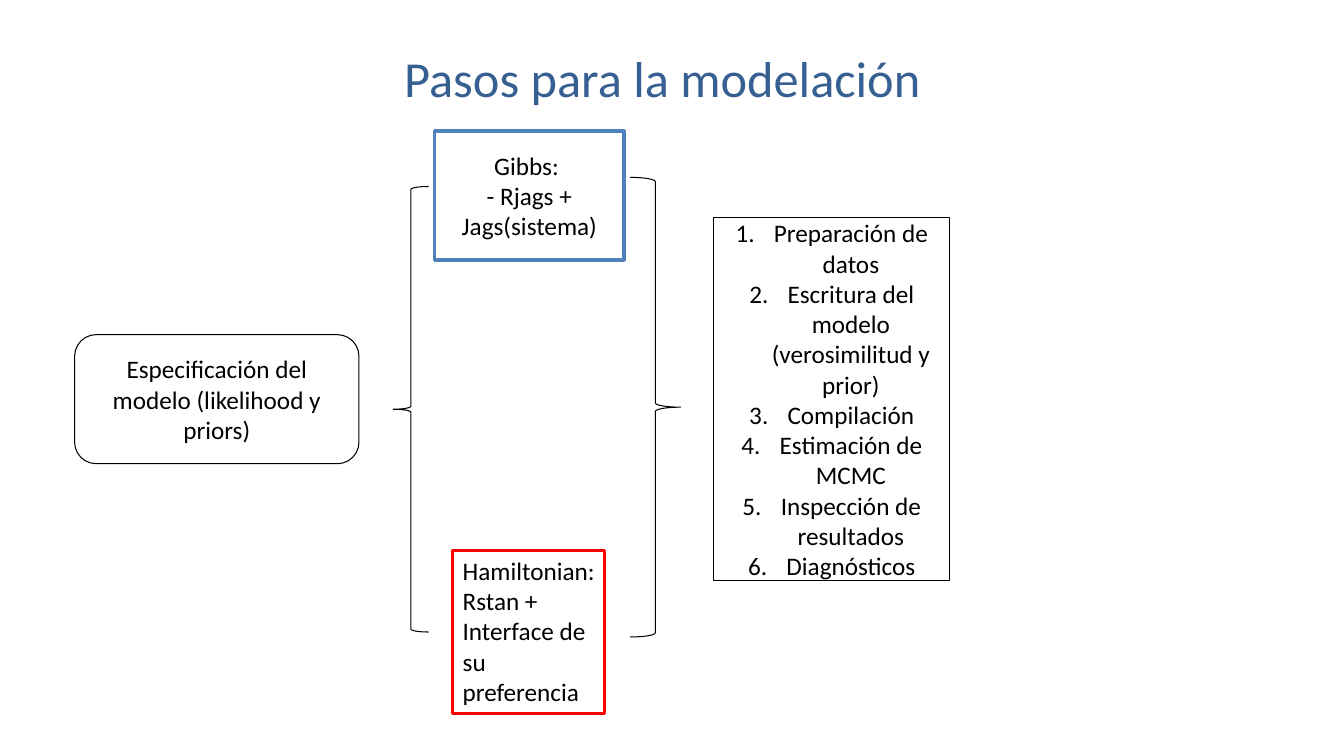
from dataclasses import dataclass

from lxml.etree import SubElement
from pptx import Presentation
from pptx.dml.color import RGBColor
from pptx.enum.shapes import MSO_SHAPE
from pptx.enum.text import MSO_ANCHOR, PP_ALIGN
from pptx.oxml.ns import qn
from pptx.util import Inches, Pt


@dataclass(frozen=True)
class Theme:
    font: str = "Calibri"
    title_size: int = 36
    body_size: int = 18
    thin: float = 0.75
    thick: float = 2.25
    title: str = "376092"
    ink: str = "000000"
    paper: str = "FFFFFF"
    gibbs: str = "4F81BD"
    hamiltonian: str = "FF0000"


THEME = Theme()
STEPS = [
    "Preparación de datos",
    "Escritura del modelo (verosimilitud y prior)",
    "Compilación",
    "Estimación de MCMC",
    "Inspección de resultados",
    "Diagnósticos",
]


def write_lines(shape, lines, size=THEME.body_size, color=THEME.ink,
                align=PP_ALIGN.CENTER, anchor=MSO_ANCHOR.MIDDLE):
    frame = shape.text_frame
    frame.word_wrap = True
    frame.vertical_anchor = anchor
    frame.text = "\n".join(lines)
    for paragraph in frame.paragraphs:
        paragraph.alignment = align
        for span in paragraph.runs:
            span.font.name = THEME.font
            span.font.size = Pt(size)
            span.font.color.rgb = RGBColor.from_string(color)


def number_lines(shape, indent):
    for paragraph in shape.text_frame.paragraphs:
        properties = paragraph._p.get_or_add_pPr()
        properties.set("marL", str(indent))
        properties.set("indent", str(-indent))
        SubElement(properties, qn("a:buAutoNum"), type="arabicPeriod")


def add_outline(page, kind, box, line=THEME.ink, width=THEME.thin, fill=None):
    shape = page.shapes.add_shape(kind, *map(Inches, box))
    shape.shadow.inherit = False
    if fill:
        shape.fill.solid()
        shape.fill.fore_color.rgb = RGBColor.from_string(fill)
    else:
        shape.fill.background()
    shape.line.color.rgb = RGBColor.from_string(line)
    shape.line.width = Pt(width)
    return shape


def add_title(page, box):
    title = page.shapes.add_textbox(*map(Inches, box))
    write_lines(title, ["Pasos para la modelación"], THEME.title_size, THEME.title)


def add_specification(page, box):
    shape = add_outline(page, MSO_SHAPE.ROUNDED_RECTANGLE, box)
    write_lines(shape, ["Especificación del modelo (likelihood y priors)"])


def add_samplers(page, box):
    left, top, width, height = box
    add_outline(page, MSO_SHAPE.LEFT_BRACE, (left, top + 0.55, 0.35, 4.42))
    gibbs = add_outline(page, MSO_SHAPE.RECTANGLE, (left + 0.41, top, 1.88, 1.28),
                        THEME.gibbs, THEME.thick, THEME.paper)
    write_lines(gibbs, ["Gibbs: ", "- Rjags +", "Jags(sistema)"])
    hamiltonian = add_outline(page, MSO_SHAPE.RECTANGLE,
                              (left + 0.59, top + height - 1.62, 1.51, 1.62),
                              THEME.hamiltonian, THEME.thick, THEME.paper)
    write_lines(hamiltonian, ["Hamiltonian:", "Rstan +", "Interface de su preferencia"],
                align=PP_ALIGN.LEFT, anchor=MSO_ANCHOR.TOP)
    add_outline(page, MSO_SHAPE.RIGHT_BRACE, (left + width - 0.5, top + 0.46, 0.5, 4.56))


def add_steps(page, box):
    shape = add_outline(page, MSO_SHAPE.RECTANGLE, box)
    write_lines(shape, STEPS)
    number_lines(shape, Inches(0.38))


def main():
    deck = Presentation()
    deck.slide_width = Inches(13.33)
    deck.slide_height = Inches(7.5)
    page = deck.slides.add_slide(deck.slide_layouts[6])
    add_title(page, (0.82, 0.13, 11.5, 1.28))
    add_specification(page, (0.74, 3.32, 2.82, 1.28))
    add_samplers(page, (3.9, 1.3, 2.85, 5.78))
    add_steps(page, (7.08, 2.16, 2.34, 3.6))
    deck.save("out.pptx")


if __name__ == "__main__":
    main()
